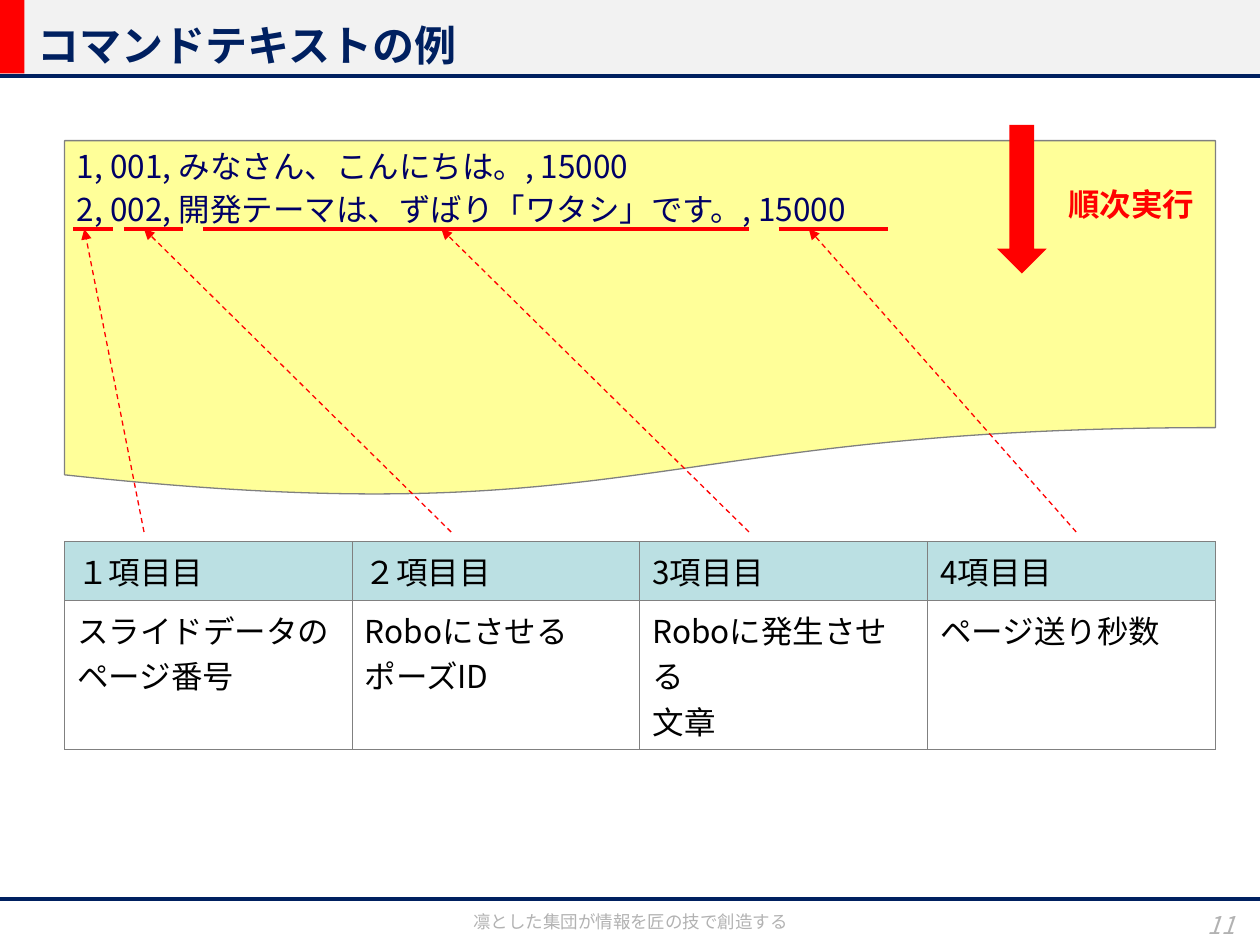
from lxml.etree import SubElement
from pptx import Presentation
from pptx.dml.color import RGBColor
from pptx.enum.dml import MSO_LINE
from pptx.enum.shapes import MSO_CONNECTOR, MSO_SHAPE
from pptx.enum.text import MSO_ANCHOR, PP_ALIGN
from pptx.oxml.ns import qn
from pptx.util import Pt

FONT = "Noto Sans CJK JP"
COLORS = {
    "navy": "002060", "ink": "000066", "black": "000000", "red": "FF0000",
    "band": "F2F2F2", "paper": "FFFF99", "border": "808080",
    "header": "BBE0E3", "muted": "B2B2B2",
}
PAGE_WIDTH, PAGE_HEIGHT = 720, 540
LEFT, CONTENT_WIDTH = 36.9, 657.6

TITLE = "コマンドテキストの例"
FOOTER = "凛とした集団が情報を匠の技で創造する"
PAGE_NUMBER = "11"
COMMANDS = [
    "1, 001, みなさん、こんにちは。, 15000",
    "2, 002, 開発テーマは、ずばり「ワタシ」です。, 15000",
]
ORDER_LABEL = "順次実行"
FIELDS = [
    ("１項目目", ["スライドデータの", "ページ番号"]),
    ("２項目目", ["Roboにさせる", "ポーズID"]),
    ("3項目目", ["Roboに発生させる", "文章"]),
    ("4項目目", ["ページ送り秒数"]),
]
# For each field: underline start, underline end, arrow start, arrow tip
MARKS = [
    (41.8, 64.6, 82.3, 48.2),
    (70.8, 104.6, 257.8, 82.3),
    (116, 428, 428, 252.2),
    (445, 507.5, 615, 462.2),
]
UNDERLINE_Y, ARROW_START_Y = 130.9, 304
TABLE_TOP, ROW_HEIGHTS = 309.6, (33.5, 85)


def rgb(name):
    return RGBColor.from_string(COLORS[name])


def write(frame, lines, size, color, align=PP_ALIGN.LEFT, spacing=None, **font_values):
    frame.word_wrap = True
    for index, line in enumerate(lines):
        para = frame.add_paragraph() if index else frame.paragraphs[0]
        para.alignment = align
        para.line_spacing = spacing
        span = para.add_run()
        span.text = line
        span.font.color.rgb = rgb(color)
        values = {"name": FONT, "size": Pt(size), **font_values}
        for key, value in values.items():
            setattr(span.font, key, value)
        SubElement(span.font._element, qn("a:ea"), typeface=FONT)


def add_text(page, place, lines, size, color, margins=None,
             anchor=MSO_ANCHOR.TOP, **values):
    frame = page.shapes.add_textbox(*map(Pt, place)).text_frame
    frame.vertical_anchor = anchor
    if margins is not None:
        for side in ("left", "right", "top", "bottom"):
            setattr(frame, f"margin_{side}", Pt(margins))
    write(frame, lines, size, color, **values)


def add_block(page, kind, place, fill, line=None):
    block = page.shapes.add_shape(kind, *map(Pt, place))
    block.shadow.inherit = False
    block.fill.solid()
    block.fill.fore_color.rgb = rgb(fill)
    if line:
        block.line.color.rgb = rgb(line)
        block.line.width = Pt(0.75)
    else:
        block.line.fill.background()
    return block


def add_line(page, start, end, color, width=2.25, dashed_arrow=False):
    line = page.shapes.add_connector(MSO_CONNECTOR.STRAIGHT, *map(Pt, (*start, *end)))
    line.line.color.rgb = rgb(color)
    line.line.width = Pt(width)
    if dashed_arrow:
        line.line.dash_style = MSO_LINE.DASH
        SubElement(line.line._get_or_add_ln(), qn("a:tailEnd"), type="triangle")
    SubElement(line._element.spPr, qn("a:effectLst"))


def add_cell_borders(cell):
    properties = cell._tc.get_or_add_tcPr()
    for index, side in enumerate(("lnL", "lnR", "lnT", "lnB")):
        border = properties.makeelement(qn(f"a:{side}"), {"w": str(Pt(0.75))})
        fill = SubElement(border, qn("a:solidFill"))
        SubElement(fill, qn("a:srgbClr"), val=COLORS["border"])
        properties.insert(index, border)


def add_field_table(page):
    place = (LEFT, TABLE_TOP, CONTENT_WIDTH, sum(ROW_HEIGHTS))
    table = page.shapes.add_table(2, len(FIELDS), *map(Pt, place)).table
    for row, height in zip(table.rows, ROW_HEIGHTS):
        row.height = Pt(height)
    for column, (heading, body) in enumerate(FIELDS):
        table.columns[column].width = Pt(CONTENT_WIDTH / len(FIELDS))
        for row, lines in enumerate(([heading], body)):
            cell = table.cell(row, column)
            if row == 0:
                cell.fill.solid()
                cell.fill.fore_color.rgb = rgb("header")
            else:
                cell.fill.background()
            write(cell.text_frame, lines, 18, "black", bold=False)
            add_cell_borders(cell)


def main():
    deck = Presentation()
    deck.slide_width, deck.slide_height = Pt(PAGE_WIDTH), Pt(PAGE_HEIGHT)
    page = deck.slides.add_slide(deck.slide_layouts[6])

    add_block(page, MSO_SHAPE.RECTANGLE, (0, 0, PAGE_WIDTH, 43), "band")
    for y in (43.2, 513.8):
        add_line(page, (0, y), (PAGE_WIDTH, y), "navy")
    add_block(page, MSO_SHAPE.RECTANGLE, (0, 0, 14, 42), "red")
    add_text(page, (14.4, 9, 601, 33), [TITLE], 24, "navy",
             anchor=MSO_ANCHOR.MIDDLE, bold=True)
    add_text(page, (244, 520.5, 232.5, 14.5), [FOOTER], 10, "muted",
             margins=0, align=PP_ALIGN.CENTER)
    add_text(page, (632, 520, 73.5, 20), [PAGE_NUMBER], 14, "muted",
             margins=0, align=PP_ALIGN.RIGHT, italic=True)

    paper = add_block(page, MSO_SHAPE.FLOWCHART_DOCUMENT,
                      (LEFT, 80.4, CONTENT_WIDTH, 204.5), "paper", "border")
    paper.text_frame.vertical_anchor = MSO_ANCHOR.TOP
    paper.text_frame.margin_top = Pt(0)
    write(paper.text_frame, COMMANDS, 18, "ink", spacing=Pt(25))

    add_field_table(page)
    add_block(page, MSO_SHAPE.DOWN_ARROW, (569.7, 71.3, 28.4, 85), "red")
    add_text(page, (603.2, 102, 131, 29), [ORDER_LABEL], 18, "red", bold=True)

    for left, right, start, tip in MARKS:
        add_line(page, (start, ARROW_START_Y), (tip, UNDERLINE_Y), "red", 0.75, True)
        add_line(page, (left, UNDERLINE_Y), (right, UNDERLINE_Y), "red")

    deck.save("out.pptx")


if __name__ == "__main__":
    main()
